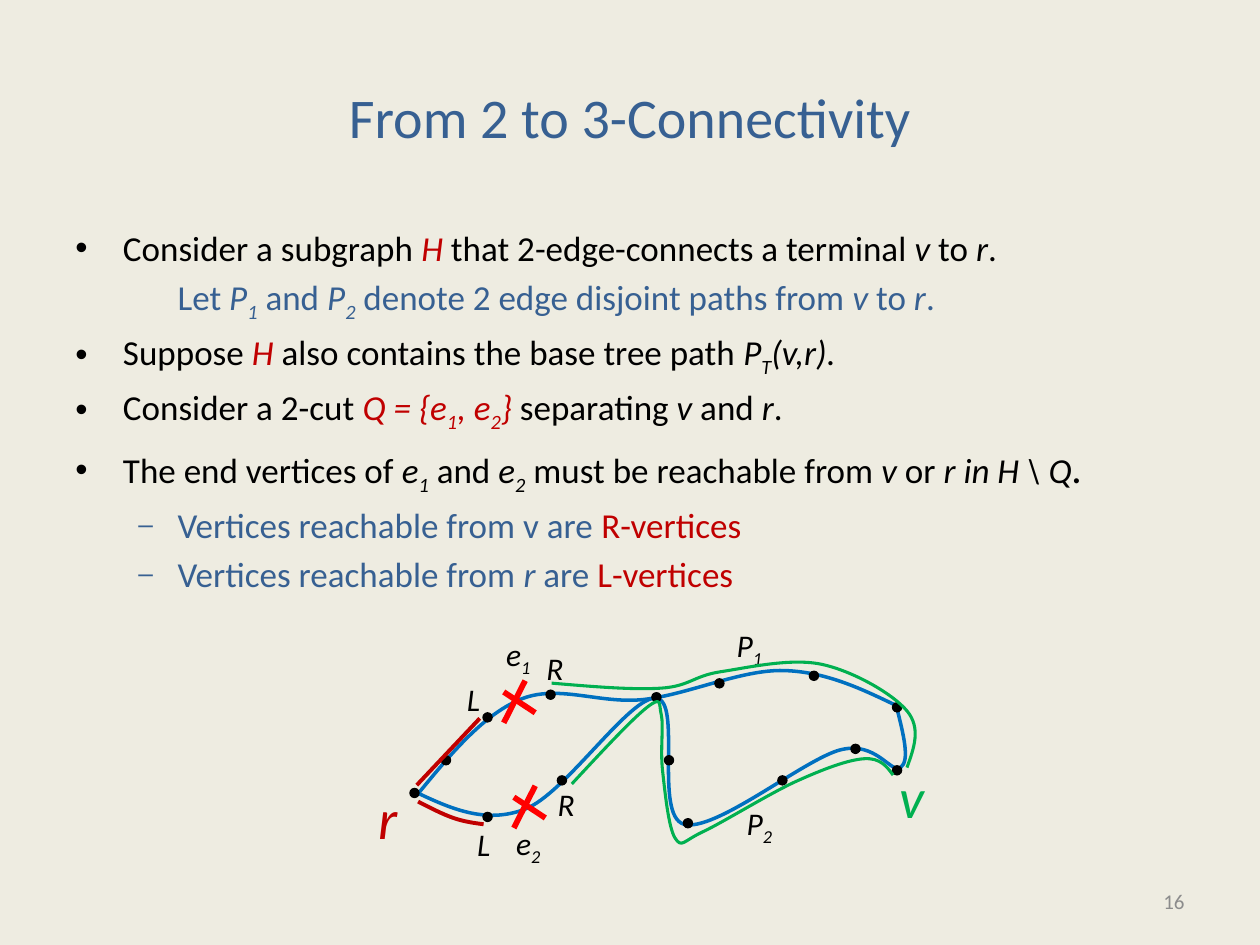
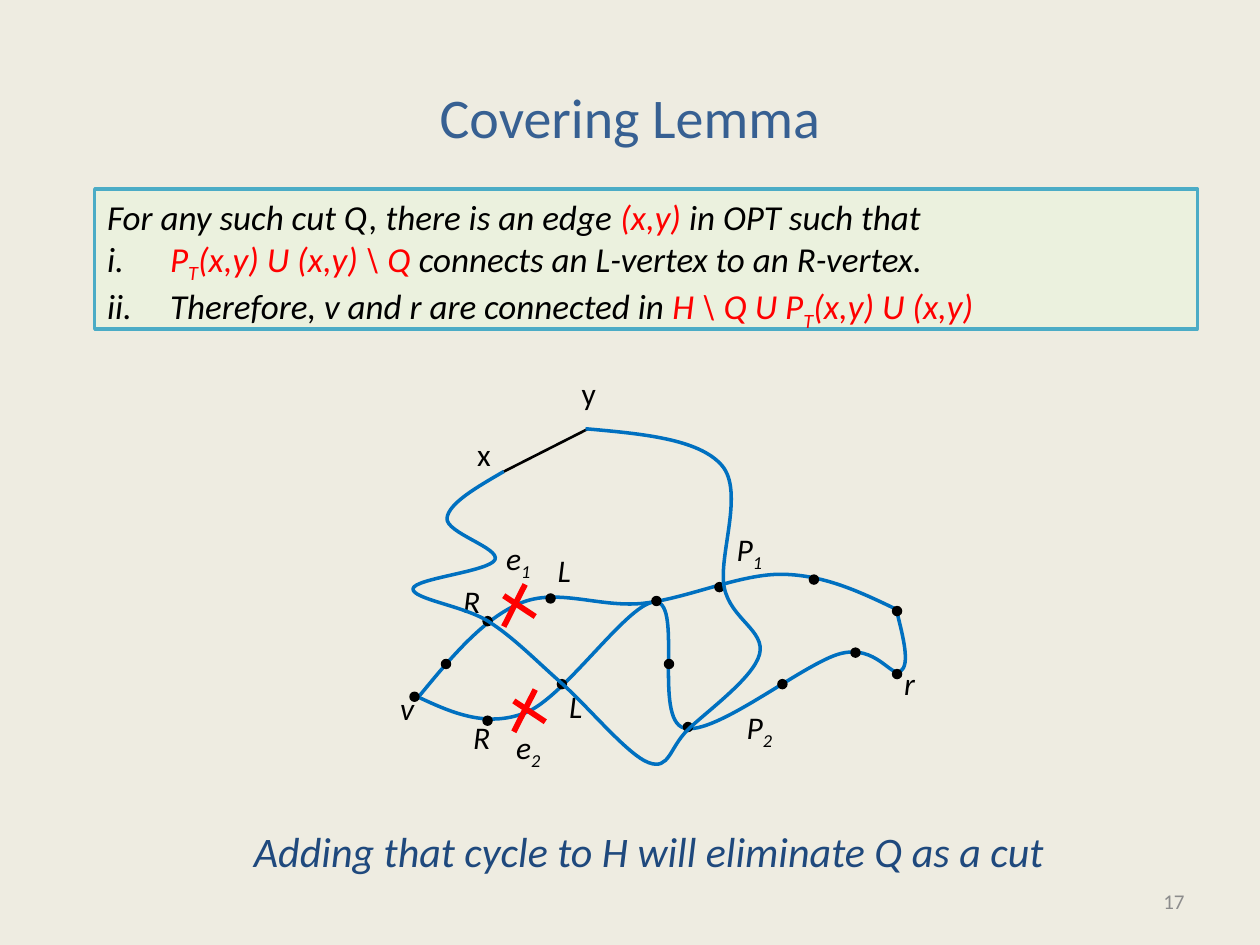
from lxml import etree
from pptx import Presentation
from pptx import util as u
from pptx.dml import color
from pptx.enum import shapes, text
from pptx.oxml import ns

Cm, Pt, RGB = u.Cm, u.Pt, color.RGBColor

CREAM = RGB(0xEE, 0xEC, 0xE1)
NAVY = RGB(0x37, 0x60, 0x92)
DEEP = RGB(0x1F, 0x49, 0x7D)
GRAY = RGB(0x8C, 0x8C, 0x8C)
BLACK = RGB(0, 0, 0)
CRIMSON = RGB(0xC0, 0, 0)
RED = RGB(0xFF, 0, 0)
BLUE = RGB(0, 0x70, 0xC0)
GREEN = RGB(0, 0xB0, 0x50)
TEAL = RGB(0x4B, 0xAC, 0xC6)
MINT = RGB(0xEB, 0xF1, 0xDE)

FONT = "Calibri"
LABEL = 18
BODY = 20
TITLE = 32

TITLE_BOX = (1.27, 0.76, 22.86, 3.18)
NUMBER_BOX = (18.2, 17.65, 5.93, 1.02)
BODY_BOX = (1.27, 4.45, 22.86, 12.57)
LEMMA_BOX = (1.91, 3.81, 22.23, 2.82)
CAPTION_BOX = (4.87, 16.51, 16.54, 1.3)
GRAPH_LEFT, GRAPH_WIDTH = 8.25, 10.16

BULLET = {"left": 0.96, "hang": 0.96, "gap": 20,
          "marks": [("buFont", "typeface", "Arial"), ("buChar", "char", "•")]}
INNER = {"left": 2.06, "hang": 0.79, "gap": 20, "marks": []}
DASH = {**INNER, "marks": [
    ("buSzPct", "val", "75000"), ("buFont", "typeface", "Arial"), ("buChar", "char", "–")]}
ROMAN = {"left": 1.11, "hang": 1.11, "gap": 0, "marks": [("buAutoNum", "type", "romanLcPeriod")]}

P1_PATH = [(6, 106), (88, 30), (186, 30), (297, 7), (387, 35)]
P2_PATH = [(4, 103), (92, 117), (196, 29), (218, 129), (342, 70), (390, 84), (387, 37)]
VERTICES = [(29, 78), (62, 123), (62, 44), (121, 94), (112, 26), (196, 28), (246, 17), (206, 78),
            (221, 128), (296, 94), (354, 69), (387, 86), (321, 11), (387, 36), (4, 104)]
CUTS = [(75, 15), (83, 98.5)]
EDGE_LABELS = [("P", "1", 250, -33), ("P", "2", 258, 108), ("e", "1", 67, -26), ("e", "2", 75, 124)]
P1_TRACE = [(395, 84), (395, 39), (327, 2), (247, 8), (200, 21), (113, 17)]
P2_TRACE = [(384, 90), (361, 77), (307, 95), (233, 135), (211, 140), (201, 86), (200, 42),
            (189, 36), (129, 97)]
R_TRACE = [(7, 111), (35, 124), (59, 129)]
CYCLE = [(75, -74.5), (30, -37.5), (68, -4.5), (3, 18.5), (63, 44.5), (121, 93.5), (190, 156.5),
         (221, 130.5), (278, 70.5), (250, 17.5), (248, -79.5), (140, -108.5)]


def apply(obj, **values):
    """Set several format values on one object."""
    for name, value in values.items():
        setattr(obj, name, value)


def add_runs(p, runs, size, rgb=BLACK):
    """Fill a paragraph with (text, flags, colour, size) runs; i is italic, _ is subscript."""
    for content, *style in runs:
        flags, tint, points = (style + [None] * 3)[:3]
        r = p.add_run()
        r.text = content
        apply(r.font, name=FONT, size=Pt(points or size), italic="i" in (flags or ""))
        r.font.color.rgb = tint or rgb
        if "_" in (flags or ""):
            r._r.get_or_add_rPr().set("baseline", "-25000")


def indent(p, left, hang, gap, marks):
    """Give a paragraph its indents, space before in percent and list mark."""
    pPr = p._p.get_or_add_pPr()
    pPr.set("marL", str(Cm(left)))
    pPr.set("indent", str(-Cm(hang)))
    before = etree.SubElement(pPr, ns.qn("a:spcBef"))
    etree.SubElement(before, ns.qn("a:spcPct")).set("val", str(gap * 1000))
    for tag, key, value in marks:
        etree.SubElement(pPr, ns.qn("a:" + tag)).set(key, value)


def add_text(s, box, runs, size, rgb=BLACK, wrap=True, align=text.PP_ALIGN.LEFT,
             anchor=text.MSO_ANCHOR.TOP):
    """Place a one-paragraph text box."""
    tf = s.shapes.add_textbox(*map(Cm, box)).text_frame
    apply(tf, word_wrap=wrap, vertical_anchor=anchor)
    if not wrap:
        tf.auto_size = text.MSO_AUTO_SIZE.SHAPE_TO_FIT_TEXT
    tf.paragraphs[0].alignment = align
    add_runs(tf.paragraphs[0], runs, size, rgb)


def add_list(tf, rows):
    """Write (list style, colour, runs) rows into a text frame."""
    for i, (style, rgb, runs) in enumerate(rows):
        p = tf.add_paragraph() if i else tf.paragraphs[0]
        p.alignment = text.PP_ALIGN.LEFT
        if style:
            indent(p, **style)
        add_runs(p, runs, BODY, rgb)


def new_slide(prs, title, number):
    """Start a slide with background, title and page number."""
    s = prs.slides.add_slide(prs.slide_layouts[6])
    s.background.fill.solid()
    s.background.fill.fore_color.rgb = CREAM
    middle = text.MSO_ANCHOR.MIDDLE
    add_text(s, NUMBER_BOX, [(str(number),)], 12, GRAY, align=text.PP_ALIGN.RIGHT, anchor=middle)
    add_text(s, TITLE_BOX, [(title,)], TITLE, NAVY, align=text.PP_ALIGN.CENTER, anchor=middle)
    return s


def bezier_points(knots):
    """List the knots with two handles between each pair, for a smooth curve."""
    last = len(knots) - 1
    points = [knots[0]]
    for i in range(last):
        axes = []
        for k in (0, 1):
            a, d = knots[i][k], knots[i + 1][k]
            b = a + (d - knots[i - 1][k]) / 6 if i else None
            c = d - (knots[i + 2][k] - a) / 6 if i + 1 < last else (b + d) / 2
            axes.append(((a + c) / 2 if b is None else b, c, d))
        points += zip(*axes)
    return points


class Graph:
    """Drawing area whose width counts 400 units."""

    def __init__(self, s, left, top, width):
        """Keep the slide and the box."""
        self.s, self.left, self.top, self.unit = s, left, top, width / 400

    def at(self, x, y):
        """Turn units into a place on the slide."""
        return Cm(self.left + x * self.unit), Cm(self.top + y * self.unit)

    def outline(self, points, rgb, weight):
        """Draw an open outline of straight pieces."""
        start, *rest = [self.at(*point) for point in points]
        fb = self.s.shapes.build_freeform(*start)
        fb.add_line_segments(rest, close=False)
        sp = fb.convert_to_shape()
        sp.shadow.inherit = False
        sp.fill.background()
        sp.line.color.rgb = rgb
        sp.line.width = Pt(weight)
        return sp

    def curve(self, knots, rgb, weight):
        """Draw a smooth open curve through the knots."""
        sp = self.outline(bezier_points(knots), rgb, weight)
        track = sp._element.find(".//" + ns.qn("a:path"))
        pieces = track.findall(ns.qn("a:lnTo"))
        for i in range(0, len(pieces), 3):
            bend = etree.SubElement(track, ns.qn("a:cubicBezTo"))
            for piece in pieces[i:i + 3]:
                bend.append(piece[0])
                track.remove(piece)

    def line(self, start, end, rgb, weight):
        """Draw a straight line."""
        cx = self.s.shapes.add_connector(shapes.MSO_CONNECTOR.STRAIGHT, *self.at(*start), *self.at(*end))
        cx.line.color.rgb = rgb
        cx.line.width = Pt(weight)
        etree.SubElement(cx._element.spPr, ns.qn("a:effectLst"))

    def vertex(self, x, y):
        """Draw a black dot around its centre."""
        size = Cm(8.3 * self.unit)
        sp = self.s.shapes.add_shape(shapes.MSO_SHAPE.OVAL, *self.at(x - 4, y - 4), size, size)
        sp.shadow.inherit = False
        sp.fill.solid()
        sp.fill.fore_color.rgb = BLACK
        sp.line.fill.background()

    def cut(self, x, y):
        """Cross out an edge."""
        self.line((x, y + 9), (x + 25, y + 25.5), RED, 3.25)
        self.line((x + 17, y), (x, y + 33.5), RED, 3.25)

    def label(self, name, x, y, sub="", size=LABEL, rgb=BLACK, flags="i"):
        """Write a vertex or edge name."""
        width, height = (0.97, 1.63) if size > LABEL else (1.06 if sub else 0.81, 1.02)
        box = (self.left + x * self.unit, self.top + y * self.unit, width, height)
        runs = [(name, flags)] + ([(sub, "i_")] if sub else [])
        add_text(self.s, box, runs, size, rgb, wrap=False)


def two_paths(s, top):
    """Draw the two paths with their vertices, cut edges and names."""
    g = Graph(s, GRAPH_LEFT, top, GRAPH_WIDTH)
    for knots in (P1_PATH, P2_PATH):
        g.curve(knots, BLUE, 2)
    for vertex in VERTICES:
        g.vertex(*vertex)
    for corner in CUTS:
        g.cut(*corner)
    for name, sub, x, y in EDGE_LABELS:
        g.label(name, x, y, sub)
    return g


def connectivity_slide(prs):
    """Build the slide on 3-connectivity."""
    s = new_slide(prs, "From 2 to 3-Connectivity", 16)
    tf = s.shapes.add_textbox(*map(Cm, BODY_BOX)).text_frame
    tf.word_wrap = True
    v, r, dot = ("v", "i"), ("r", "i"), (".",)
    h = ("H", "i", CRIMSON)
    add_list(tf, [
        (BULLET, BLACK, [("Consider a subgraph ",), h, (" that 2-edge-connects a terminal ",), v,
                         (" to ",), r, dot]),
        (INNER, NAVY, [("\tLet ",), ("P", "i"), ("1", "i_"), (" and ",), ("P", "i"), ("2", "i_"),
                       (" denote 2 edge disjoint paths from ",), v, (" to ",), r, dot]),
        (BULLET, BLACK, [("Suppose ",), h, (" also contains the base tree path ",), ("P", "i"),
                         ("T", "i_"), ("(v,r).", "i")]),
        (BULLET, BLACK, [("Consider a 2-cut ",), ("Q = {e", "i", CRIMSON), ("1", "i_", CRIMSON),
                         (", e", "i", CRIMSON), ("2", "i_", CRIMSON), ("}", "i", CRIMSON),
                         (" separating ",), v, (" and ",), r, dot]),
        (BULLET, BLACK, [("The end vertices of ",), ("e", "i"), ("1", "i_"), (" and ",), ("e", "i"),
                         ("2", "i_"), (" must be reachable from ",), v, (" or ",),
                         ("r in H \\ Q", "i"), (".", "i", BLACK, 24)]),
        (DASH, NAVY, [("Vertices reachable from v are ",), ("R-vertices", "", CRIMSON)]),
        (DASH, NAVY, [("Vertices reachable from ",), r, (" are ",), ("L-vertices", "", CRIMSON)]),
    ])
    g = two_paths(s, 13.34)
    g.label("v", 379, 75, size=TITLE, rgb=GREEN)
    g.label("r", -34, 92, size=TITLE, rgb=CRIMSON)
    for trace in (P1_TRACE, P2_TRACE):
        g.curve(trace, GREEN, 1.75)
    for name, x, y in [("L", 36, 10), ("L", 44, 125), ("R", 99, -15), ("R", 108, 93)]:
        g.label(name, x, y)
    g.outline([(6, 98), (56, 45)], CRIMSON, 2.25)
    g.curve(R_TRACE, CRIMSON, 2.25)


def lemma_box(s, box):
    """Draw the framed lemma."""
    sp = s.shapes.add_shape(shapes.MSO_SHAPE.RECTANGLE, *map(Cm, box))
    sp.shadow.inherit = False
    sp.fill.solid()
    sp.fill.fore_color.rgb = MINT
    sp.line.color.rgb = TEAL
    sp.line.width = Pt(2)
    apply(sp.text_frame, word_wrap=True, vertical_anchor=text.MSO_ANCHOR.TOP)
    add_list(sp.text_frame, [
        (None, BLACK, [("For any such cut Q, there is an edge ", "i"), ("(x,y) ", "i", RED),
                       ("in OPT such that", "i")]),
        (ROMAN, BLACK, [(" ", "i"), ("P", "i", RED), ("T", "i_", RED),
                        ("(x,y) U (x,y) \\ Q", "i", RED),
                        (" connects an L-vertex to an R-vertex.", "i")]),
        (ROMAN, BLACK, [(" Therefore, v and r are connected in ", "i"), ("H \\ Q U P", "i", RED),
                        ("T", "i_", RED), ("(x,y) U (x,y)", "i", RED)]),
    ])


def lemma_slide(prs):
    """Build the slide on the covering lemma."""
    s = new_slide(prs, "Covering Lemma", 17)
    g = two_paths(s, 11.4)
    for name, x, y in [("v", -17, 93.5), ("r", 383, 73.5), ("L", 108, -16.5), ("L", 117, 91.5),
                       ("R", 33, 8.5), ("R", 41, 116.5)]:
        g.label(name, x, y)
    g.line((75, -74.5), (142, -108.5), BLACK, 1.5)
    g.label("x", 44, -108.5, flags="")
    g.label("y", 127, -156.5, flags="")
    add_text(s, CAPTION_BOX, [("Adding that cycle to H will eliminate Q as a cut", "i")], 24, DEEP,
             wrap=False)
    g.curve(CYCLE, BLUE, 2)
    lemma_box(s, LEMMA_BOX)


def main():
    """Build and save the slides."""
    prs = Presentation()
    apply(prs, slide_width=Cm(25.4), slide_height=Cm(19.05))
    connectivity_slide(prs)
    lemma_slide(prs)
    prs.save("out.pptx")


if __name__ == "__main__":
    main()
